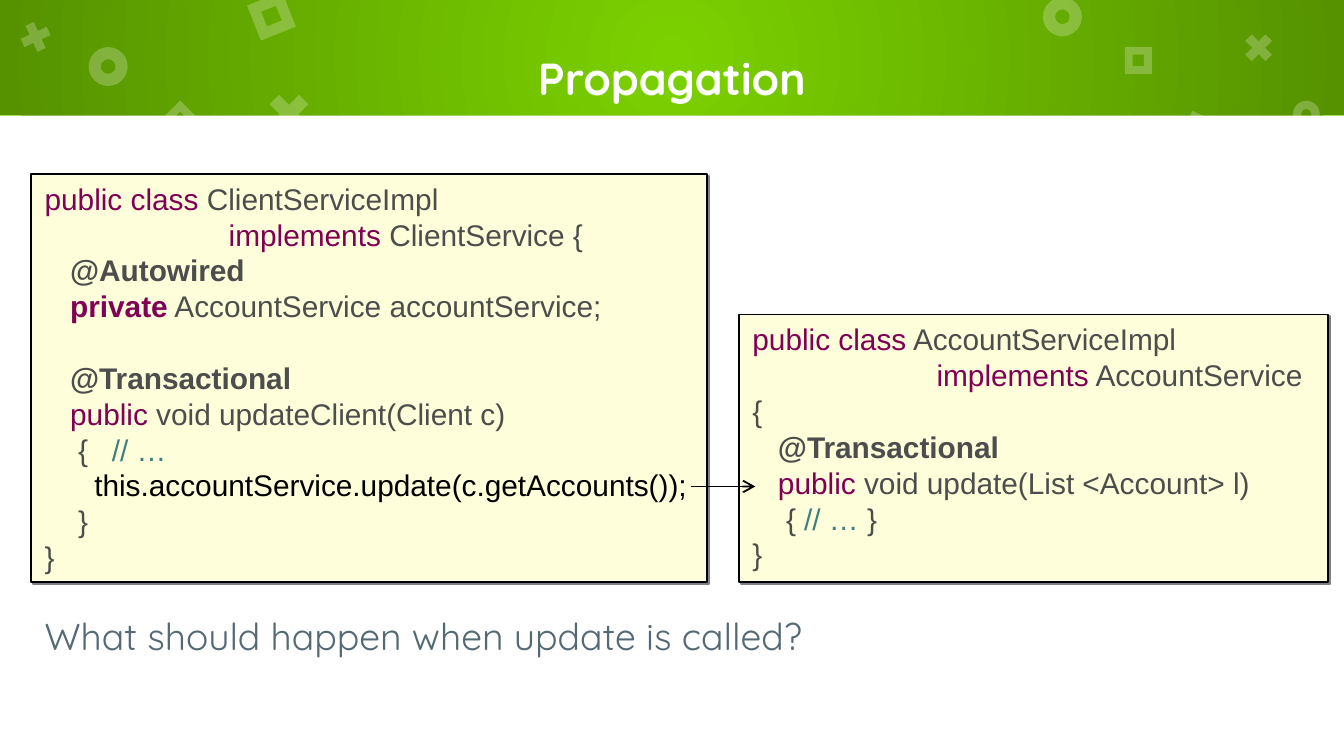
"""Builds the Propagation slide: two code boxes, a call arrow and a question."""
from lxml import etree
from pptx import Presentation, util as u
from pptx.dml.color import RGBColor
from pptx.enum import shapes, text
from pptx.oxml import parse_xml
from pptx.oxml.ns import qn

NS = 'xmlns:a="http://schemas.openxmlformats.org/drawingml/2006/main"'
COLORS = {"light": "7BD100", "dark": "569200", "white": "FFFFFF", "cream": "FEFFDA", "black": "000000",
          "key": "7F0055", "code": "4D4D4D", "note": "3F7F7F", "slate": "546973"}
RGB = {k: RGBColor.from_string(v) for k, v in COLORS.items()}
M, LINE = 0.1, 19.2

prs = Presentation()
prs.slide_width = u.Inches(10)
prs.slide_height = prs.slide_width * 9 // 16
COL, ROW = prs.slide_width / 100, prs.slide_height / 56.25
s = prs.slides.add_slide(prs.slide_layouts[6])


def grid(x, y, w, h):
    return int(x * COL), int(y * ROW), int(w * COL), int(h * ROW)


def write(p, runs, size, font):
    for words, color, bold in runs:
        r = p.add_run()
        r.text = words
        for key, value in {"size": u.Pt(size), "name": font, "bold": bold}.items():
            setattr(r.font, key, value)
        r.font.color.rgb = RGB[color]


s.background.fill.solid()
s.background.fill.fore_color.rgb = RGB["light"]
band = s.shapes.add_shape(shapes.MSO_SHAPE.RECTANGLE, *grid(0, 0, 100, 8.6))
floor = s.shapes.add_shape(shapes.MSO_SHAPE.RECTANGLE, *grid(0, 8.6, 100, 47.65))
for sp in (band, floor):
    sp.shadow.inherit = False
    sp.line.fill.background()
floor.fill.solid()
floor.fill.fore_color.rgb = RGB["white"]
band.fill.gradient()
for stop, color in zip(band.fill.gradient_stops, ("light", "dark")):
    stop.color.rgb = RGB[color]
grad = band._element.spPr.find(qn("a:gradFill"))
grad.remove(grad.find(qn("a:lin")))
grad.append(parse_xml(f'<a:path {NS} path="circle"><a:fillToRect l="50000" t="50000" r="50000" b="50000"/></a:path>'))

KINDS = {"ring": (shapes.MSO_SHAPE.DONUT, 0.31), "cross": (shapes.MSO_SHAPE.MATH_MULTIPLY, 0.235),
         "frame": (shapes.MSO_SHAPE.FRAME, 0.289)}
ORNAMENTS = [("ring", 6.6, 3.5, 2.9, 0), ("cross", 19.4, 6.4, 4.2, 0), ("frame", 18.8, -0.2, 2.8, 338.4),
             ("ring", 77.6, -0.2, 2.9, 0), ("frame", 88, 8.7, 2.8, 25), ("cross", 1.2, 1.3, 2.9, 20.4),
             ("frame", 12.4, 7.9, 2, 45), ("ring", 96.2, 7.5, 2, 0), ("cross", 92.2, 2.1, 2.9, 0),
             ("frame", 83.7, 3.5, 2, 0)]
for kind, x, y, size, turn in ORNAMENTS:
    preset, adjust = KINDS[kind]
    sp = s.shapes.add_shape(preset, *grid(x, y, size, size))
    sp.adjustments[0] = adjust
    sp.rotation = turn
    sp.shadow.inherit = False
    sp.line.fill.background()
    sp.fill.solid()
    sp.fill.fore_color.rgb = RGB["white"]
    etree.SubElement(sp._element.spPr.find(qn("a:solidFill"))[0], qn("a:alpha"), val="24000")

CLIENT = [
    (0, 0, [("public class", "key", False), (" ClientServiceImpl", "code", False)]),
    (1.37, 0, [("implements", "key", False), (" ClientService {", "code", False)]),
    (0.19, 0, [("@Autowired", "code", True)]),
    (0.19, 0, [("private", "key", True), (" AccountService accountService;", "code", False)]),
    (0.19, LINE, [("@Transactional", "code", True)]),
    (0.19, 0, [("public", "key", False), (" void updateClient(Client c)", "code", False)]),
    (0.25, 0, [("{\t", "code", False), ("// …", "note", False)]),
    (0.37, 0, [("this.accountService.update(c.getAccounts());", "black", False)]),
    (0.25, 0, [("}", "code", False)]),
    (0, 0, [("}", "code", False)]),
]
ACCOUNT = [
    (0, 0, [("public class", "key", False), (" AccountServiceImpl", "code", False)]),
    (1.37, 0, [("implements", "key", False), (" AccountService", "code", False)]),
    (0, 0, [("{", "code", False)]),
    (0.19, 0, [("@Transactional", "code", True)]),
    (0.19, 0, [("public", "key", False), (" void update(List <Account> l)", "code", False)]),
    (0.25, 0, [("{ ", "code", False), ("// … ", "note", False), ("}", "code", False)]),
    (0, 0, [("}", "code", False)]),
]
for box, lines in (((2.34, 12.94, 50.3, 30.4), CLIENT), ((55, 23.4, 43.8, 19.9), ACCOUNT)):
    sp = s.shapes.add_shape(shapes.MSO_SHAPE.RECTANGLE, *grid(*box))
    sp.fill.solid()
    sp.fill.fore_color.rgb = RGB["cream"]
    sp.line.color.rgb = RGB["black"]
    sp.line.width = u.Pt(1)
    sp._element.spPr.append(parse_xml(
        f'<a:effectLst {NS}><a:outerShdw blurRad="0" dist="17780" dir="2700000" algn="ctr" rotWithShape="0">'
        '<a:srgbClr val="808080"/></a:outerShdw></a:effectLst>'))
    tf = sp.text_frame
    tf.word_wrap, tf.vertical_anchor = True, text.MSO_ANCHOR.TOP
    for i, (indent, gap, runs) in enumerate(lines):
        p = tf.paragraphs[0] if i == 0 else tf.add_paragraph()
        for key, value in {"alignment": text.PP_ALIGN.LEFT, "line_spacing": u.Pt(LINE),
                           "space_before": u.Pt(gap)}.items():
            setattr(p, key, value)
        hang = 0.25 if "\t" in runs[0][0] else 0
        pPr = p._p.get_or_add_pPr()
        pPr.set("marL", str(u.Inches(indent + hang)))
        pPr.set("indent", str(u.Inches(-hang)))
        write(p, runs, 16, "Arial")

x1, y1, dx, dy = grid(51.4, 36.2, 4.8, 0)
arrow = s.shapes.add_connector(shapes.MSO_CONNECTOR.STRAIGHT, x1, y1, x1 + dx, y1 + dy)
arrow.line.color.rgb = RGB["black"]
arrow.line.width = u.Pt(1)
etree.SubElement(arrow.line._get_or_add_ln(), qn("a:tailEnd"), type="arrow")
etree.SubElement(arrow._element.spPr, qn("a:effectLst"))

LABELS = [("Propagation", (9.5, 0, 81, 11.6), 24, "white", True, text.PP_ALIGN.CENTER, text.MSO_ANCHOR.MIDDLE, 0),
          ("What should happen when update is called?", (2.34, 44.64, 90, 5.4), 20, "slate", False,
           text.PP_ALIGN.LEFT, text.MSO_ANCHOR.TOP, 6)]
for words, box, size, color, bold, align, anchor, gap in LABELS:
    tf = s.shapes.add_textbox(*grid(*box)).text_frame
    for key, value in {"word_wrap": True, "vertical_anchor": anchor, "margin_left": u.Inches(M),
                       "margin_right": u.Inches(M), "margin_top": u.Inches(M),
                       "margin_bottom": u.Inches(M)}.items():
        setattr(tf, key, value)
    p = tf.paragraphs[0]
    p.alignment, p.space_before = align, u.Pt(gap)
    write(p, [(words, color, bold)], size, "Quicksand")

prs.save("out.pptx")
